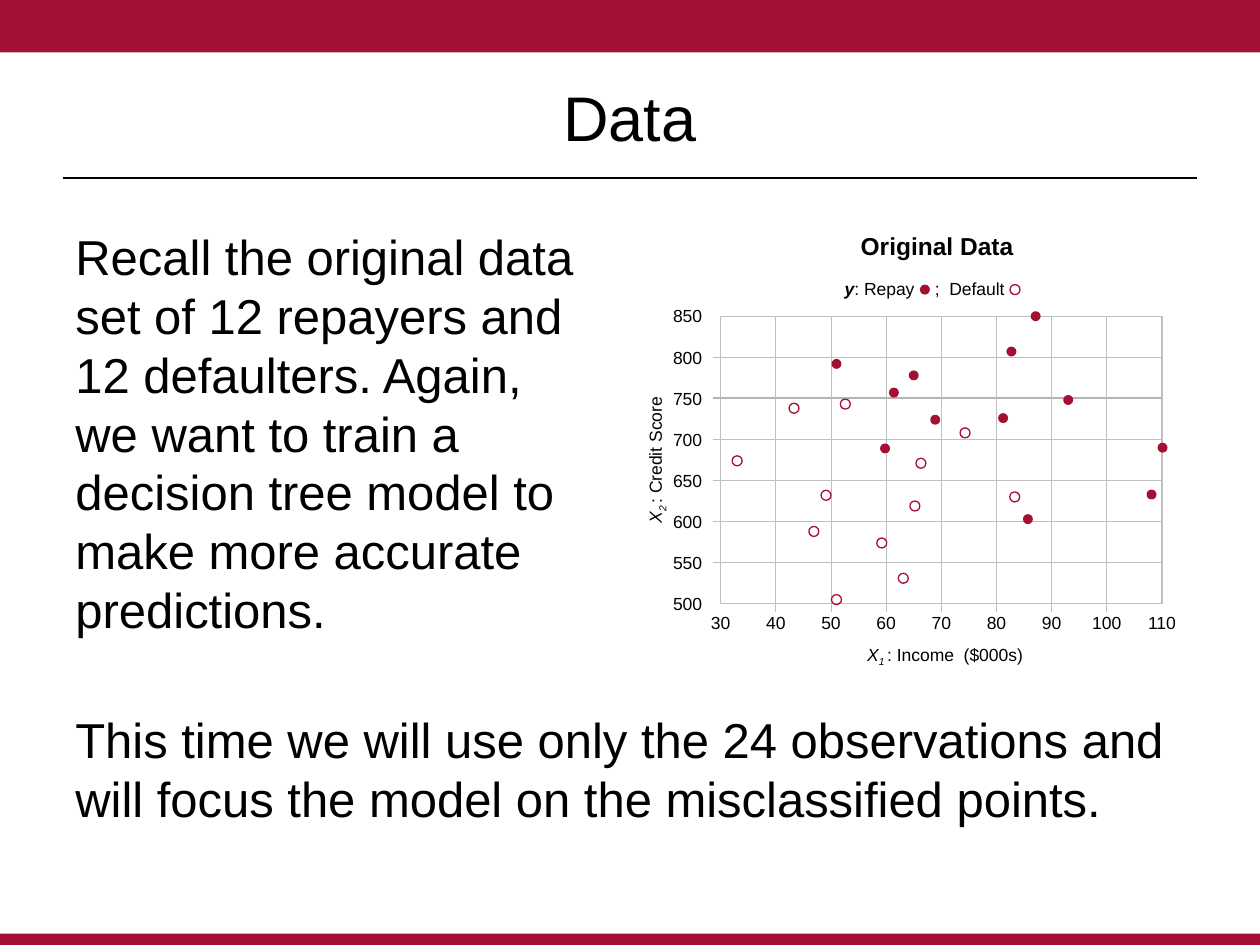
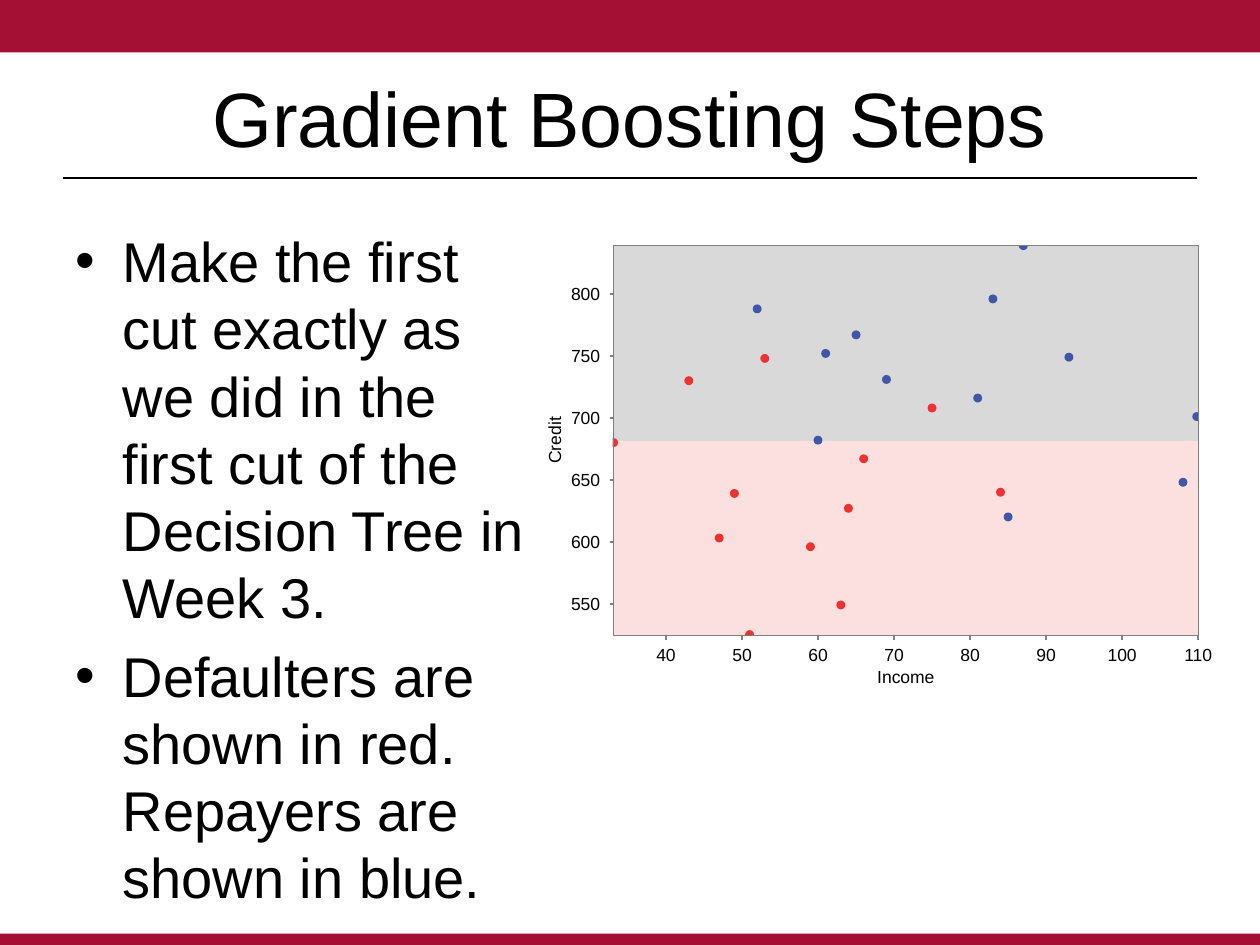
from dataclasses import dataclass
from typing import Any, Optional

import pptx
import pptx.dml.color
import pptx.enum.shapes
import pptx.enum.text
import pptx.oxml.ns
import pptx.util
from lxml import etree

Pt = pptx.util.Pt
SHAPE = pptx.enum.shapes.MSO_SHAPE
ALIGN = pptx.enum.text.PP_ALIGN
ANCHOR = pptx.enum.text.MSO_ANCHOR
qn = pptx.oxml.ns.qn

FONT = "Arial"
COLORS = {
    "crimson": "A41034", "black": "000000", "grid": "BFBFBF", "dark_grid": "B4B4B4",
    "axis": "808080", "pink": "FCE0E0", "grey": "D9D9D9", "red": "EE3131", "blue": "4156A6",
}
PAGE_WIDTH, PAGE_HEIGHT = 720, 540
LABEL_HEIGHT = 19.4


@dataclass(frozen=True)
class Span:
    text: str
    bold: bool = False
    italic: bool = False
    lowered: bool = False


@dataclass(frozen=True)
class Label:
    """A one-line text centred on (x, y)."""
    spans: tuple[Span, ...]
    x: float
    y: float
    width: float = 36
    size: float = 10
    align: Any = ALIGN.CENTER
    turn: float = 0


@dataclass(frozen=True)
class Plot:
    """A plotting area that turns income and credit score into page points."""
    left: float
    top: float
    width: float
    height: float
    incomes: tuple[float, float]
    credits: tuple[float, float]

    @property
    def right(self) -> float:
        return self.left + self.width

    @property
    def bottom(self) -> float:
        return self.top + self.height

    def x(self, income: float) -> float:
        low, high = self.incomes
        return self.left + self.width * (income - low) / (high - low)

    def y(self, credit: float) -> float:
        low, high = self.credits
        return self.bottom - self.height * (credit - low) / (high - low)


@dataclass(frozen=True)
class Marker:
    size: float
    fill: Optional[str] = None
    line: Optional[str] = None


@dataclass(frozen=True)
class HalfMarker:
    """A marker cut off by the plot's edge."""
    income: float
    credit: float
    color: str
    angles: tuple[float, float]
    turn: float = 0


# Data of the first plot
REPAY = [(51, 792), (61.4, 757), (65, 778), (68.9, 724), (59.8, 689), (81.2, 726),
         (82.7, 807), (87.1, 850), (93, 748), (85.7, 603), (108.1, 633), (110.1, 690)]
DEFAULT = [(43.3, 738), (33, 674), (52.6, 743), (49.1, 632), (46.9, 588), (51, 505),
           (59.2, 574), (63.1, 531), (65.2, 619), (66.3, 671), (74.3, 708), (83.3, 630)]

# Data of the first cut
CUT_DEFAULTERS = [(66, 667), (84, 640), (75, 708), (49, 639), (64, 627), (59, 596),
                  (63, 549), (47, 603), (43, 730), (53, 748)]
CUT_REPAYERS = [(61, 752), (60, 682), (69, 731), (52, 788), (65, 767), (83, 796),
                (81, 716), (93, 749), (85, 620), (108, 648)]
EDGE_MARKERS = [
    HalfMarker(51, 525, "red", (100.81, 6.92)),
    HalfMarker(33.1, 680, "red", (100.81, 6.92), 90),
    HalfMarker(87, 839, "blue", (4.39, 104.51)),
    HalfMarker(109.8, 701, "blue", (204.16, 119.03), 90),
]


def rgb(name: str) -> pptx.dml.color.RGBColor:
    return pptx.dml.color.RGBColor.from_string(COLORS[name])


def add_shape(shapes: Any, kind: Any, left: float, top: float, width: float, height: float,
              fill: Optional[str] = None, line: Optional[str] = None,
              weight: float = 0.75) -> Any:
    shape = shapes.add_shape(kind, Pt(left), Pt(top), Pt(width), Pt(height))
    shape.shadow.inherit = False
    if fill:
        shape.fill.solid()
        shape.fill.fore_color.rgb = rgb(fill)
    else:
        shape.fill.background()
    if line:
        shape.line.color.rgb = rgb(line)
        shape.line.width = Pt(weight)
    else:
        shape.line.fill.background()
    return shape


def add_line(shapes: Any, x1: float, y1: float, x2: float, y2: float,
             color: str, weight: float) -> Any:
    line = shapes.add_connector(pptx.enum.shapes.MSO_CONNECTOR.STRAIGHT,
                                Pt(x1), Pt(y1), Pt(x2), Pt(y2))
    line.line.color.rgb = rgb(color)
    line.line.width = Pt(weight)
    etree.SubElement(line.element.spPr, qn("a:effectLst"))
    return line


def style(span: Any, size: float, bold: bool = False, italic: bool = False) -> None:
    span.font.name, span.font.size = FONT, Pt(size)
    span.font.bold, span.font.italic = bold, italic
    span.font.color.rgb = rgb("black")


def add_label(shapes: Any, label: Label) -> None:
    box = shapes.add_textbox(Pt(label.x - label.width / 2), Pt(label.y - LABEL_HEIGHT / 2),
                             Pt(label.width), Pt(LABEL_HEIGHT))
    box.rotation = label.turn
    box.text_frame.word_wrap = True
    para = box.text_frame.paragraphs[0]
    para.alignment = label.align
    for part in label.spans:
        span = para.add_run()
        span.text = part.text
        style(span, label.size, part.bold, part.italic)
        if part.lowered:
            span.font._element.set("baseline", "-25000")


def add_body(slide: Any, texts: list[str], left: float, top: float, width: float,
             height: float, size: float, bullets: bool = False) -> None:
    box = slide.shapes.add_textbox(Pt(left), Pt(top), Pt(width), Pt(height))
    box.text_frame.word_wrap = True
    box.text_frame.text = "\n".join(texts)
    for index, para in enumerate(box.text_frame.paragraphs):
        style(para.runs[0], size)
        if index:
            para.space_before = Pt(size * 0.2)
        if bullets:
            properties = para._p.get_or_add_pPr()
            properties.set("marL", str(Pt(27)))
            properties.set("indent", str(-Pt(27)))
            etree.SubElement(properties, qn("a:buFont")).set("typeface", FONT)
            etree.SubElement(properties, qn("a:buChar")).set("char", "•")


def add_points(shapes: Any, plot: Plot, points: list[tuple[float, float]],
               marker: Marker) -> None:
    for income, credit in points:
        add_marker(shapes, plot.x(income), plot.y(credit), marker)


def add_marker(shapes: Any, x: float, y: float, marker: Marker, kind: Any = SHAPE.OVAL) -> Any:
    return add_shape(shapes, kind, x - marker.size / 2, y - marker.size / 2,
                     marker.size, marker.size, marker.fill, marker.line)


def add_scale_labels(shapes: Any, plot: Plot, incomes: range, credits: range,
                     credit_right: float, income_y: float) -> None:
    for income in incomes:
        add_label(shapes, Label((Span(str(income)),), plot.x(income), income_y))
    for credit in credits:
        add_label(shapes, Label((Span(str(credit)),), credit_right - 18, plot.y(credit),
                                align=ALIGN.RIGHT))


def add_page(deck: Any, title: str, size: float) -> Any:
    slide = deck.slides.add_slide(deck.slide_layouts[5])
    box = slide.shapes.title
    box.left, box.top, box.width, box.height = Pt(36), Pt(21.6), Pt(648), Pt(90)
    box.text_frame.text = title
    box.text_frame.auto_size = pptx.enum.text.MSO_AUTO_SIZE.NONE
    box.text_frame.vertical_anchor = ANCHOR.MIDDLE
    para = box.text_frame.paragraphs[0]
    para.alignment = ALIGN.CENTER
    style(para.runs[0], size)
    return slide


def move_bands_to_layout(slide: Any) -> None:
    """Draw the bands and the title rule, and hand them to the shared layout."""
    layout = slide.slide_layout
    for holder in list(layout.placeholders)[1:]:
        holder.element.getparent().remove(holder.element)
    for item in (
        add_shape(slide.shapes, SHAPE.RECTANGLE, 0, 0, PAGE_WIDTH, 30, "crimson"),
        add_shape(slide.shapes, SHAPE.RECTANGLE, 0, 533.5, PAGE_WIDTH, 6.5, "crimson"),
        add_line(slide.shapes, 36, 101.9, 684, 101.9, "black", 1.25),
    ):
        layout.shapes.element.append(item.element)


def draw_data_plot(slide: Any) -> None:
    shapes = slide.shapes.add_group_shape().shapes
    plot = Plot(411.8, 180.7, 252.2, 164.3, (30, 110), (500, 850))
    frame = add_shape(shapes, SHAPE.RECTANGLE, plot.left, plot.top, plot.width, plot.height,
                      line="grid")

    # Grid and scales
    for credit in range(550, 850, 50):
        color, weight = ("dark_grid", 1) if credit == 750 else ("grid", 0.5)
        add_line(shapes, plot.left - 4.5, plot.y(credit), plot.right, plot.y(credit),
                 color, weight)
    for income in range(40, 110, 10):
        line = add_line(shapes, plot.x(income), plot.bottom + 5, plot.x(income), plot.top,
                        "grid", 0.5)
        if income == sum(plot.incomes) / 2:
            line.end_connect(frame, 0)
    add_scale_labels(shapes, plot, range(30, 111, 10), range(500, 851, 50), 408.3, 356.1)

    # Heading, legend and axis titles
    for label in (
        Label((Span("Original Data", bold=True),), 535.5, 138.4, 130, 14),
        Label((Span("y", bold=True, italic=True), Span(": Repay")), 502.6, 165.2, 59),
        Label((Span(";  Default"),), 558.4, 165.2, 62.6, align=ALIGN.LEFT),
        Label((Span("X", italic=True), Span("2 ", italic=True, lowered=True),
               Span(": Credit Score")), 374.4, 263, 90, turn=270),
        Label((Span("X", italic=True), Span("1 ", italic=True, lowered=True),
               Span(": Income  ($000s)")), 540, 374, 105),
    ):
        add_label(shapes, label)

    # Observations, each kind with its legend key
    for points, marker, key_x in (
        (REPAY, Marker(5.7, fill="crimson"), 528.5),
        (DEFAULT, Marker(5.7, line="crimson"), 580),
    ):
        add_marker(shapes, key_x, 165.5, marker)
        add_points(shapes, plot, points, marker)


def draw_cut_plot(slide: Any) -> None:
    shapes = slide.shapes.add_group_shape().shapes
    plot = Plot(350.6, 140.4, 334.1, 223, (33.1, 110), (524, 839))
    tick = 2.2

    # Ticks, scales and axis titles
    incomes, credits = range(40, 111, 10), range(550, 801, 50)
    for income in incomes:
        add_line(shapes, plot.x(income), plot.bottom + tick, plot.x(income), plot.bottom,
                 "axis", 1)
    for credit in credits:
        add_line(shapes, plot.left - tick, plot.y(credit), plot.left, plot.y(credit), "axis", 1)
    add_scale_labels(shapes, plot, incomes, credits, 350, 374)
    add_label(shapes, Label((Span("Income"),), 517.6, 387, 60))
    add_label(shapes, Label((Span("Credit"),), 316.8, 251.6, 60, turn=270))

    # Regions on both sides of the cut
    for index, color in enumerate(("grey", "pink")):
        half = plot.height / 2
        add_shape(shapes, SHAPE.RECTANGLE, plot.left, plot.top + index * half,
                  plot.width, half, color)

    # Observations
    for points, color in ((CUT_DEFAULTERS, "red"), (CUT_REPAYERS, "blue")):
        add_points(shapes, plot, points, Marker(5.1, color))
    for edge in EDGE_MARKERS:
        chord = add_marker(shapes, plot.x(edge.income), plot.y(edge.credit),
                           Marker(5.1, edge.color), SHAPE.CHORD)
        chord.adjustments[0], chord.adjustments[1] = edge.angles
        chord.rotation = edge.turn
    add_shape(shapes, SHAPE.RECTANGLE, plot.left, plot.top, plot.width, plot.height,
              line="axis", weight=0.5)


def main() -> None:
    deck = pptx.Presentation()
    deck.slide_width, deck.slide_height = Pt(PAGE_WIDTH), Pt(PAGE_HEIGHT)

    data = add_page(deck, "Data", 36)
    move_bands_to_layout(data)
    add_body(data, ["Recall the original data set of 12 repayers and 12 defaulters. Again, "
                    "we want to train a decision tree model to make more accurate "
                    "predictions."], 36, 126, 312, 258, 28)
    add_body(data, ["This time we will use only the 24 observations and will focus the model "
                    "on the misclassified points."], 36, 402, 664.5, 75, 28)
    draw_data_plot(data)

    steps = add_page(deck, "Gradient Boosting Steps", 44)
    add_body(steps, ["Make the first cut exactly as we did in the first cut of the Decision "
                     "Tree in Week 3.",
                     "Defaulters are shown in red. Repayers are shown in blue."],
             36, 126, 276.5, 356, 32, bullets=True)
    draw_cut_plot(steps)
    deck.save("out.pptx")


if __name__ == "__main__":
    main()
